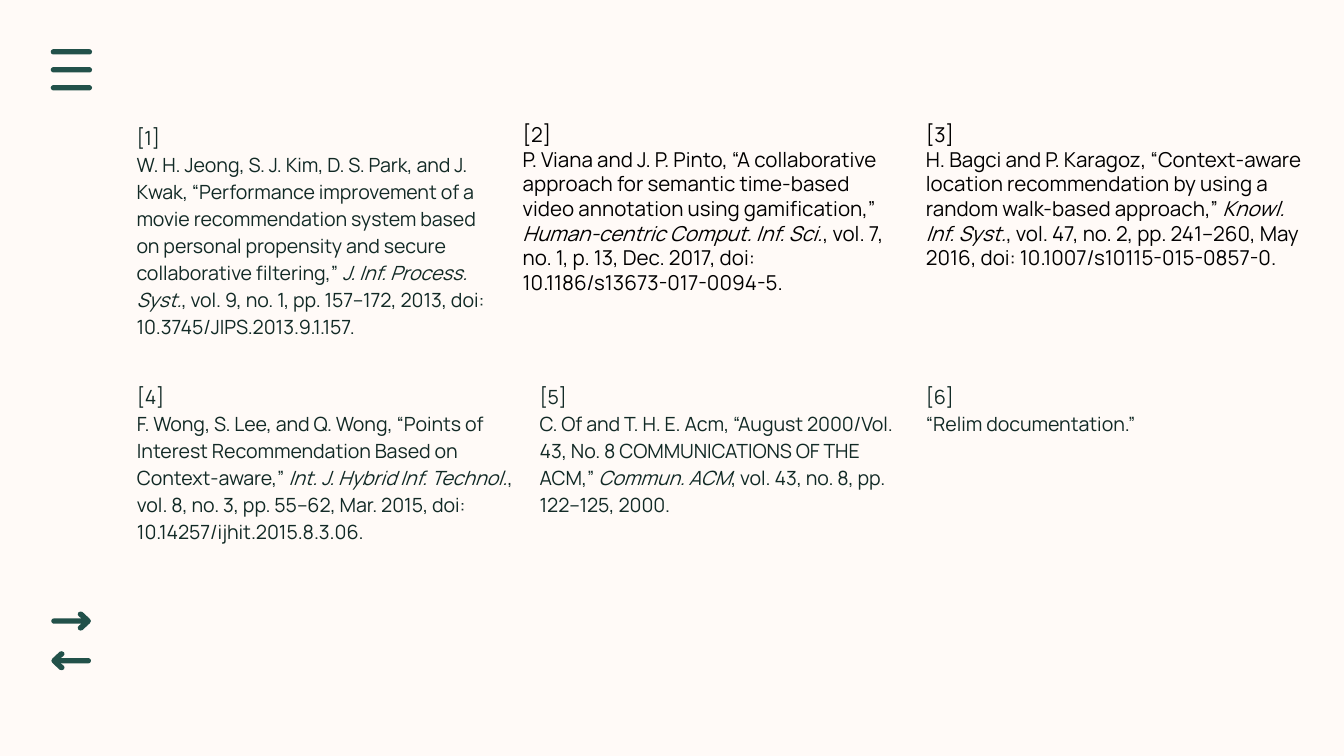
from lxml.etree import SubElement
from pptx import Presentation
from pptx.dml.color import RGBColor
from pptx.enum.shapes import MSO_SHAPE
from pptx.enum.text import MSO_ANCHOR, MSO_AUTO_SIZE
from pptx.oxml.ns import qn
from pptx.util import Cm, Pt

CREAM = RGBColor(0xFF, 0xFA, 0xF7)
GREEN = RGBColor(0x22, 0x51, 0x4A)
DARK = RGBColor(0x11, 0x29, 0x25)
BLACK = RGBColor(0, 0, 0)
FONT = "Manrope"

# Each entry: text before the journal, journal in italics, text after it
REFS = [
    ("W. H. Jeong, S. J. Kim, D. S. Park, and J. Kwak, “Performance improvement "
     "of a movie recommendation system based on personal propensity and secure "
     "collaborative filtering,” ", "J. Inf. Process. Syst.",
     ", vol. 9, no. 1, pp. 157–172, 2013, doi: 10.3745/JIPS.2013.9.1.157."),
    ("P. Viana and J. P. Pinto, “A collaborative approach for semantic time-based "
     "video annotation using gamification,” ", "Human-centric Comput. Inf. Sci.",
     ", vol. 7, no. 1, p. 13, Dec. 2017, doi: 10.1186/s13673-017-0094-5."),
    ("H. Bagci and P. Karagoz, “Context-aware location recommendation by using a "
     "random walk-based approach,” ", "Knowl. Inf. Syst.",
     ", vol. 47, no. 2, pp. 241–260, May 2016, doi: 10.1007/s10115-015-0857-0."),
    ("F. Wong, S. Lee, and Q. Wong, “Points of Interest Recommendation Based on "
     "Context-aware,” ", "Int. J. Hybrid Inf. Technol.",
     ", vol. 8, no. 3, pp. 55–62, Mar. 2015, doi: 10.14257/ijhit.2015.8.3.06."),
    ("C. Of and T. H. E. Acm, “August 2000/Vol. 43, No. 8 COMMUNICATIONS OF THE "
     "ACM,” ", "Commun. ACM", ", vol. 43, no. 8, pp. 122–125, 2000."),
    ("“Relim documentation.”",),
]
LARGE = (2, 3)      # set in larger black type with single spacing
INDENTED = (1, 5)
SHIFT = {4: 0.33}   # extra left offset
LEFT, COL, TOP, ROW = 2.01, 7.62, 2.06, 4.9

# Upper edge of an arrowhead: distance behind the tip, height above the axis
HEAD = [(0, 0), (0.02, 0.04), (0.16, 0.17), (0.2, 0.18), (0.24, 0.16),
        (0.25, 0.12), (0.23, 0.09), (0.18, 0.05), (0.2, 0.03), (0.5, 0.03),
        (0.53, 0)]
ARROWS = [(1.72, 11.74, -1), (0.97, 12.49, 1)]  # tip x, axis y, way to the tail


def paint(shape):
    shape.shadow.inherit = False
    shape.fill.solid()
    shape.fill.fore_color.rgb = GREEN
    shape.line.fill.background()


def draw_bar(slide, x, y, width):
    bar = slide.shapes.add_shape(
        MSO_SHAPE.ROUNDED_RECTANGLE, Cm(x), Cm(y), Cm(width), Cm(0.1))
    bar.adjustments[0] = 0.5
    paint(bar)


def draw_arrow(slide, tip, axis, way):
    draw_bar(slide, tip + 0.03 if way > 0 else tip - 0.75, axis - 0.05, 0.72)
    edge = HEAD + [(x, -y) for x, y in HEAD[-2:0:-1]]
    points = [(Cm(tip + way * x), Cm(axis - y)) for x, y in edge]
    pen = slide.shapes.build_freeform(*points[0])
    pen.add_line_segments(points[1:], close=True)
    paint(pen.convert_to_shape())


def fill_box(box, number, parts):
    large = number in LARGE
    frame = box.text_frame
    frame.word_wrap = True
    frame.auto_size = MSO_AUTO_SIZE.NONE
    frame.vertical_anchor = MSO_ANCHOR.TOP
    frame.margin_left = frame.margin_right = Cm(0.25)
    frame.margin_top = frame.margin_bottom = Cm(0.25)
    frame.text = f"[{number}]"
    body = frame.add_paragraph()
    for i, part in enumerate(parts):
        run = body.add_run()
        run.text = part
        run.font.italic = i == 1
    for para in frame.paragraphs:
        para.line_spacing = 1.0 if large else 1.15
        para.space_before = para.space_after = Pt(0)
        props = para._p.get_or_add_pPr()
        props.set("marL", str(Cm(0.32 if number in INDENTED else 0)))
        props.set("indent", "0")
        SubElement(props, qn("a:buNone"))
        for run in para.runs:
            run.font.name = FONT
            run.font.size = Pt(11 if large else 10.5)
            run.font.color.rgb = BLACK if large else DARK


def main():
    deck = Presentation()
    deck.slide_width, deck.slide_height = Cm(25.4), Cm(14.29)
    slide = deck.slides.add_slide(deck.slide_layouts[1])
    slide.background.fill.solid()
    slide.background.fill.fore_color.rgb = CREAM
    title = slide.shapes.title.element
    title.getparent().remove(title)

    for i in range(3):
        draw_bar(slide, 0.96, 0.93 + i * 0.34, 0.78)
    for arrow in ARROWS:
        draw_arrow(slide, *arrow)

    for i, parts in enumerate(REFS):
        row, col = divmod(i, 3)
        number = i + 1
        area = (Cm(LEFT + col * COL + SHIFT.get(number, 0)), Cm(TOP + row * ROW),
                Cm(COL), Cm(3.91 if number in LARGE else 4.83))
        if i == 0:
            box = slide.placeholders[1]
            box.left, box.top, box.width, box.height = area
        else:
            box = slide.shapes.add_textbox(*area)
        fill_box(box, number, parts)
    deck.save("out.pptx")


if __name__ == "__main__":
    main()
